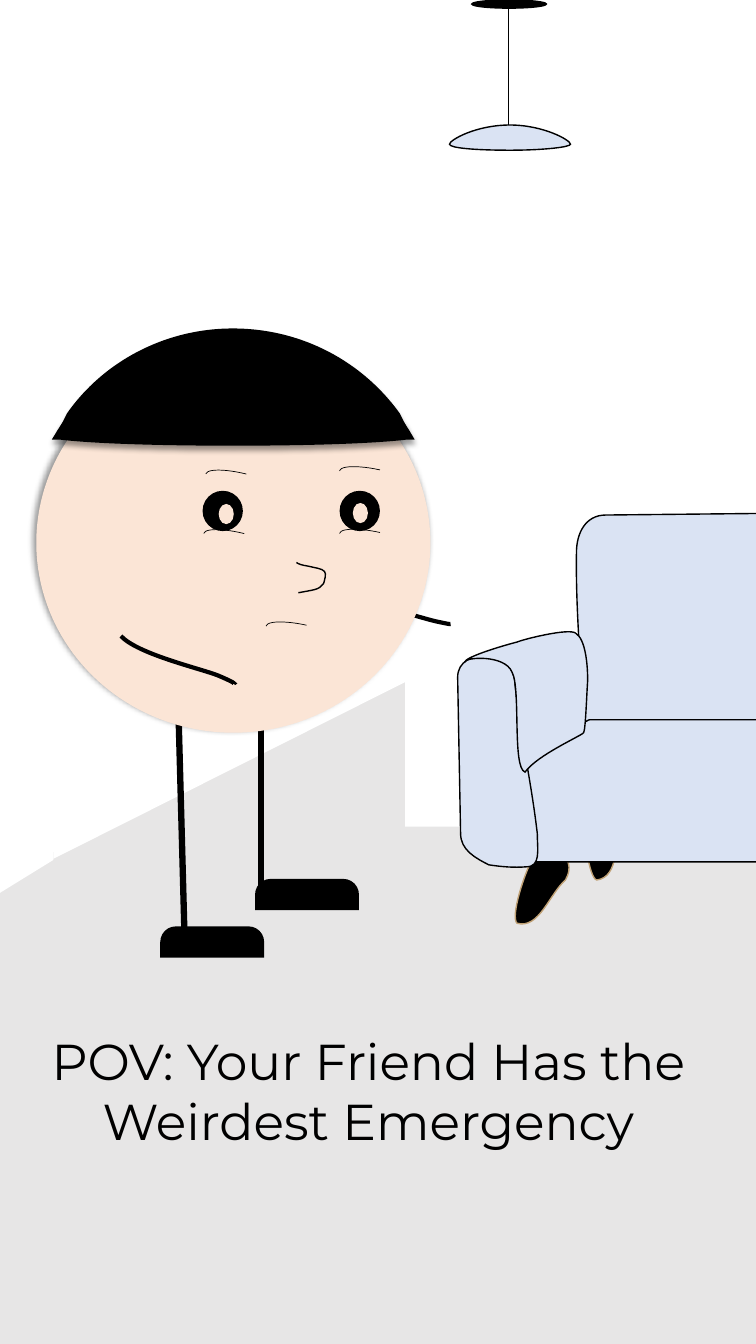
from dataclasses import dataclass
from math import cos, radians, sin

from lxml.etree import SubElement
from pptx import Presentation
from pptx.dml.color import RGBColor
from pptx.enum.shapes import MSO_CONNECTOR, MSO_SHAPE as Geo
from pptx.enum.text import MSO_ANCHOR, MSO_AUTO_SIZE, PP_ALIGN
from pptx.oxml.ns import qn
from pptx.util import Pt


@dataclass(frozen=True)
class Theme:
    floor: str = "E7E6E6"
    wall: str = "FFFFFF"
    ink: str = "000000"
    skin: str = "FBE5D6"
    sofa: str = "DAE3F3"
    shoe_edge: str = "C0A175"
    font: str = "Montserrat"
    caption_size: float = 36
    hairline: float = 0.5
    outline: float = 1
    arm: float = 3
    leg: float = 4.5


def write(tf, text, font, size, color, align=PP_ALIGN.CENTER):
    """Put formatted text into a text frame."""
    p = tf.paragraphs[0]
    p.alignment = align
    r = p.add_run()
    r.text = text
    r.font.name, r.font.size = font, Pt(size)
    r.font.color.rgb = RGBColor.from_string(color)


def turn(x, y, angle):
    """Turn a point about the slide's top left corner."""
    a = radians(angle)
    return x * cos(a) - y * sin(a), x * sin(a) + y * cos(a)


class Scene:
    def __init__(self, slide, theme):
        self.s, self.th = slide, theme
        fill = slide.background.fill
        fill.solid()
        fill.fore_color.rgb = RGBColor.from_string(theme.floor)

    def style(self, sp, fill, line, width, shadow=None):
        sp.shadow.inherit = False
        if fill:
            sp.fill.solid()
            sp.fill.fore_color.rgb = RGBColor.from_string(fill)
        else:
            sp.fill.background()
        if width:
            sp.line.color.rgb = RGBColor.from_string(line or self.th.ink)
            sp.line.width = Pt(width)
            SubElement(sp.element.spPr.find(qn("a:ln")), qn("a:miter"), lim="800000")
        else:
            sp.line.fill.background()
        if shadow is not None:
            effects = sp.element.spPr.find(qn("a:effectLst"))
            outer = SubElement(effects, qn("a:outerShdw"), blurRad=str(Pt(4)),
                               dist=str(Pt(3)), dir=str(shadow * 60000),
                               algn="ctr", rotWithShape="0")
            color = SubElement(outer, qn("a:srgbClr"), val=self.th.ink)
            SubElement(color, qn("a:alpha"), val="40000")
        return sp

    def shape(self, geo, x, y, w, h, fill=None, line=None, width=0, shadow=None):
        sp = self.s.shapes.add_shape(geo, Pt(x), Pt(y), Pt(w), Pt(h))
        return self.style(sp, fill, line, width, shadow)

    def outline(self, start, *steps, fill=None, line=None, width=0, shadow=None, angle=0):
        """Draw line steps (x, y) and Bezier steps (six numbers) in a turned frame."""
        steps = [[tuple(map(Pt, turn(*step[i:i + 2], -angle)))
                  for i in range(0, len(step), 2)] for step in steps]
        fb = self.s.shapes.build_freeform(*map(Pt, turn(*start, -angle)))
        fb.add_line_segments([step[-1] for step in steps], close=fill is not None)
        sp = fb.convert_to_shape()
        # Bend the segments that have control points
        for segment, step in zip(list(sp.element.iter(qn("a:lnTo"))), steps):
            if len(step) == 3:
                segment.tag = qn("a:cubicBezTo")
                for i, (x, y) in enumerate(step[:2]):
                    pt = SubElement(segment, qn("a:pt"), x=str(x - sp.left), y=str(y - sp.top))
                    segment.insert(i, pt)
        # Turn the shape back into place
        cx, cy = turn(sp.left + sp.width / 2, sp.top + sp.height / 2, angle)
        sp.left, sp.top = round(cx - sp.width / 2), round(cy - sp.height / 2)
        sp.rotation = angle
        return self.style(sp, fill, line, width, shadow)

    def line(self, x1, y1, x2, y2, width):
        cx = self.s.shapes.add_connector(
            MSO_CONNECTOR.STRAIGHT, Pt(x1), Pt(y1), Pt(x2), Pt(y2))
        cx.line.color.rgb = RGBColor.from_string(self.th.ink)
        cx.line.width = Pt(width)
        SubElement(cx.element.spPr, qn("a:effectLst"))

    def face_line(self, x, y, angle):
        sp = self.shape(Geo.ARC, x, y, 56.2, 13.7, width=self.th.hairline)
        sp.rotation = angle
        sp.element.spPr.xfrm.set("flipH", "1")

    def shoe(self, x, y):
        sp = self.shape(Geo.ROUND_2_SAME_RECTANGLE, x, y, 74.2, 22.3, self.th.ink)
        sp.adjustments[0] = 0.5

    def caption(self, text, x, y, w, h):
        sp = self.s.shapes.title
        sp.left, sp.top, sp.width, sp.height = Pt(x), Pt(y), Pt(w), Pt(h)
        tf = sp.text_frame
        tf.word_wrap, tf.auto_size = True, MSO_AUTO_SIZE.SHAPE_TO_FIT_TEXT
        tf.vertical_anchor = MSO_ANCHOR.TOP
        write(tf, text, self.th.font, self.th.caption_size, self.th.ink)


def draw_walls(sc, th):
    sc.shape(Geo.RECTANGLE, 289.4, -32.4, 364.3, 622.8, th.wall)
    sc.outline((23, -8.6), (300.2, -3.6), (308.9, 477.4), (38.2, 613.4), fill=th.wall)
    sc.outline((-316.8, -13.7), (32.4, -15.8), (38.2, 614.2), (-316.8, 833), fill=th.wall)


def draw_friend(sc, th):
    # Far arm, legs, head and shoes
    sc.outline((249.1, 459.4), (249.1, 447.1, 249.1, 435.6, 259.9, 433.4),
               (270, 430.6, 302.4, 442.1, 313.2, 444.2),
               (323.3, 446.4, 321.8, 445.7, 321.8, 445.7), width=th.arm, angle=219)
    sc.line(186.5, 467.3, 186.5, 644.4, th.leg)
    sc.line(127.4, 505.4, 131.8, 668.2, th.leg)
    sc.shape(Geo.OVAL, 25.9, 252, 281.5, 271.4, th.skin, shadow=225)
    sc.shoe(114.5, 661.7)
    sc.shoe(182.2, 627.8)
    # Near arm and nose
    sc.outline((86.4, 454.3), (98.6, 467.3, 142.6, 477.4, 155.5, 482.4),
               (169.2, 488.2, 167, 488.2, 167, 488.2), width=th.arm, angle=344.9)
    sc.outline((211.7, 401.8), (212.4, 402.5, 213.1, 402.5, 214.6, 403.2),
               (216, 403.9, 218.2, 403.9, 221, 404.6),
               (223.9, 405.4, 230.4, 406.1, 231.8, 408.2),
               (233.3, 409.7, 231.8, 414.7, 231.1, 416.9),
               (229.7, 419, 227.5, 420.5, 224.6, 421.2),
               (221.8, 421.9, 217.4, 422.6, 213.1, 423.4), width=th.outline, angle=352.6)
    # Eyes
    for eye_x, pupil_x, pupil_y in ((242.6, 252, 359.3), (144.7, 156.2, 360)):
        sc.shape(Geo.OVAL, eye_x, 350.6, 28.8, 28.8, th.ink)
        sc.shape(Geo.OVAL, pupil_x, pupil_y, 10.8, 14.4, th.skin)
    # Hair: lower band, crown and tuft
    hair = dict(fill=th.ink, width=th.leg, shadow=90)
    sc.outline((166.3, 299.5), (215.3, 299.5, 257.8, 301, 283.7, 303.1),
               (287.3, 303.8), (290.2, 308.2), (292.3, 311.8), (290.2, 311.8),
               (266.4, 314.6, 220.3, 316.1, 166.3, 316.1),
               (113, 316.1, 67, 314.6, 43.2, 311.8),
               (41, 311.8), (43.2, 308.2), (46.1, 303.8), (49.7, 303.1),
               (74.9, 301, 118.1, 299.5, 166.3, 299.5), **hair)
    sc.outline((166.3, 236.9), (215.3, 236.9, 257.8, 260.6, 283.7, 296.6),
               (287.3, 303.8), (283.7, 303.1),
               (257.8, 301, 215.3, 299.5, 166.3, 299.5),
               (118.1, 299.5, 74.9, 301, 49.7, 303.1), (46.1, 303.8), (49.7, 296.6),
               (74.9, 260.6, 118.1, 236.9, 166.3, 236.9), **hair)
    sc.outline((107.3, 294.5), (110.2, 294.5), (121, 295.9, 126.7, 297.4, 126.7, 298.8),
               (126.7, 299.5, 123.1, 301, 115.9, 301.7), (111.6, 302.4), (110.2, 298.8),
               fill=th.ink)
    # Brows, lower lids and mouth
    for x, y, angle in ((241.9, 335.5, 12.4), (144.7, 380.9, 13.9), (146.2, 338.4, 13.9),
                        (241.9, 380.2, 12.4), (189.4, 446.4, 12.4)):
        sc.face_line(x, y, angle)


def draw_lamp(sc, th):
    sc.shape(Geo.OVAL, 337, 0, 53.3, 5.8, th.ink, width=th.outline)
    sc.line(362.9, 2.9, 362.9, 89.3, th.hairline)
    sc.outline((321.1, 103), (321.1, 100.1, 339.8, 89.3, 364.3, 89.3),
               (388.1, 89.3, 407.5, 100.1, 407.5, 103),
               (407.5, 105.1, 388.1, 107.3, 364.3, 107.3),
               (339.8, 107.3, 321.1, 105.8, 321.1, 103), fill=th.sofa, width=th.outline)


def draw_sofa(sc, th):
    # Shoes under the sofa
    shoe = dict(fill=th.ink, line=th.shoe_edge, width=th.outline)
    sc.outline((399.6, 609.1), (392.4, 604.8, 383.8, 607, 380.2, 614.2),
               (375.1, 622.1, 364.3, 655.2, 369.4, 659.5),
               (385.2, 663.8, 392.4, 638.6, 403.9, 628.6),
               (409, 619.9, 406.1, 612.7, 399.6, 609.1), angle=301, **shoe)
    sc.outline((432.7, 570.2), (424.8, 569.5, 417.6, 575.3, 416.9, 583.2),
               (416.2, 592.6, 420.5, 627.1, 426.2, 628.6),
               (442.8, 626.4, 438.5, 600.5, 445, 586.1),
               (446.4, 576, 439.9, 570.2, 432.7, 570.2), angle=275.9, **shoe)
    # Back, seat, front of the armrest, top of the armrest
    cloth = dict(fill=th.sofa, width=th.outline)
    sc.outline((411.8, 394.6), (411.8, 380.9, 418.3, 367.9, 432.7, 367.9),
               (635.8, 365.8), (835.9, 367.9), (849.6, 367.9, 861.1, 378.7, 861.1, 393.1),
               (861.1, 519.8), (861.1, 533.5, 849.6, 545, 835.9, 545),
               (432.7, 545), (418.3, 545, 416.9, 533.5, 416.9, 519.8),
               (415.4, 478.1, 411.1, 436.3, 411.8, 394.6), **cloth)
    sc.outline((421.2, 514.1), (852.5, 514.1), (855.4, 514.1, 888.5, 536.4, 896.4, 544.3),
               (897.1, 546.5), (899.3, 546.5), (907.9, 550.1, 913, 558, 913, 567.4),
               (913, 593.3), (913, 605.5, 902.9, 615.6, 890.6, 615.6),
               (382.3, 615.6), (370.1, 615.6, 360, 605.5, 360, 593.3),
               (360, 567.4), (360, 558, 365.8, 550.1, 373.7, 546.5), (377.3, 545.8),
               (378, 545), (388.1, 537.1, 418.3, 514.1, 421.2, 514.1), **cloth)
    sc.outline((367.9, 488.9), (367.9, 477.4, 359.3, 468, 348.5, 468),
               (337.7, 468, 326.9, 472.3, 326.9, 483.8), (329, 595.4),
               (329, 607, 339.1, 612.7, 349.2, 617.8),
               (358.6, 619.2, 367.2, 619.9, 375.8, 619.2),
               (386.6, 619.2, 383.8, 607, 383.8, 595.4),
               (379.4, 557.3, 371.5, 524.2, 367.9, 488.9), **cloth)
    sc.outline((416.9, 523.4), (418.3, 521.3, 419, 498.2, 419.8, 486),
               (419.8, 474.5, 418.3, 456.5, 411.1, 452.2),
               (406.1, 448.6, 374.4, 456.5, 369.4, 458.6),
               (355.7, 462.2, 332.6, 469.4, 331.9, 473),
               (331.9, 469.4, 360.7, 467.3, 365.8, 480.2),
               (372.2, 491.8, 365.8, 548.6, 375.1, 551.5),
               (383.8, 539.3, 415.4, 525.6, 416.9, 523.4), angle=350.9, **cloth)


def main():
    prs = Presentation()
    prs.slide_width, prs.slide_height = Pt(540), Pt(960)
    th = Theme()
    sc = Scene(prs.slides.add_slide(prs.slide_layouts[5]), th)
    for draw in (draw_walls, draw_friend, draw_lamp, draw_sofa):
        draw(sc, th)
    sc.caption("POV: Your Friend Has the Weirdest Emergency", 5, 732.2, 516.2, 94.3)
    prs.save("out.pptx")


if __name__ == "__main__":
    main()
